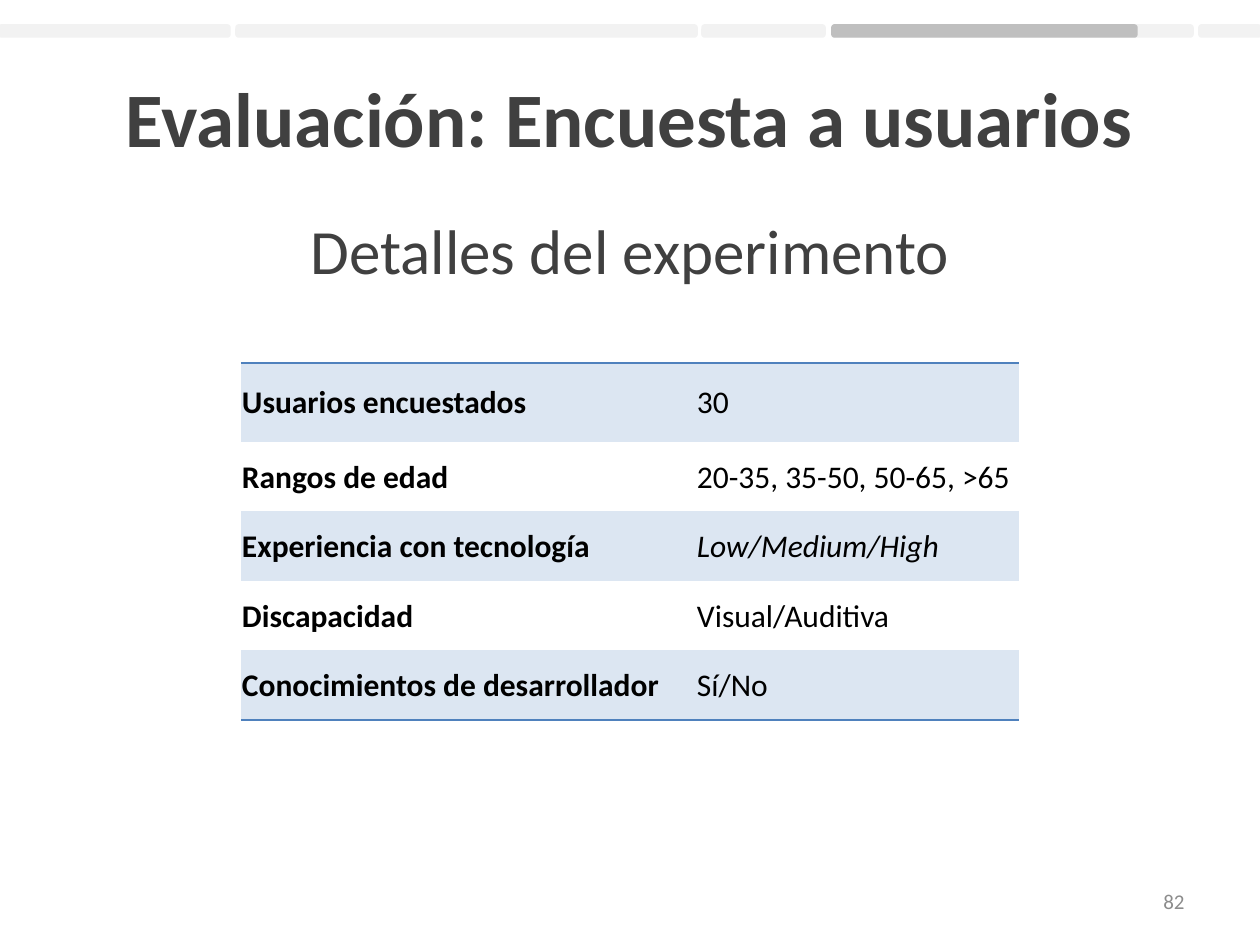
from lxml.etree import SubElement
from pptx import Presentation
from pptx.dml.color import RGBColor
from pptx.enum.shapes import MSO_SHAPE
from pptx.enum.text import MSO_ANCHOR, PP_ALIGN
from pptx.oxml import parse_xml
from pptx.oxml.ns import nsdecls
from pptx.util import Emu, Pt

HUES = {"pale": "F2F2F2", "mark": "BFBFBF", "head": "404040", "page": "8C8C8C",
        "ink": "000000", "band": "DCE6F2", "rule": "4F81BD"}
BARS = [(0, 229, "pale"), (237, 459, "pale"), (833, 359, "pale"),
        (703, 121, "pale"), (1200, 60, "pale"), (833, 303, "mark")]
TEXTS = [
    ("Evaluación: Encuesta a usuarios", (63, 38, 1134, 157), MSO_ANCHOR.MIDDLE,
     {"alignment": PP_ALIGN.CENTER}, {"size": Pt(44), "bold": True}, "head"),
    ("82", (903, 876, 294, 50), MSO_ANCHOR.MIDDLE,
     {"alignment": PP_ALIGN.RIGHT}, {"size": Pt(12)}, "page"),
    ("Detalles del experimento", (63, 220, 1134, 624), MSO_ANCHOR.TOP,
     {"alignment": PP_ALIGN.CENTER, "line_spacing": 0.8}, {"size": Pt(36)}, "head"),
]
ROWS = [("Usuarios encuestados", "30"),
        ("Rangos de edad", "20-35, 35-50, 50-65, >65"),
        ("Experiencia con tecnología", "Low/Medium/High"),
        ("Discapacidad", "Visual/Auditiva"),
        ("Conocimientos de desarrollador", "Sí/No")]
SLANT = "Low/Medium/High"
COLS = [455, 323]
TALL = [79] + [69.5] * 4
PLAIN = "{2D5ABB26-0587-4C30-8999-92F81FD0307C}"


def px(n):
    return Emu(round(n * 914400 / 126))


def hue(name):
    return RGBColor.from_string(HUES[name])


def put(obj, vals):
    for key, val in vals.items():
        setattr(obj, key, val)


def style(para, look, name):
    put(para.font, {"name": "Calibri", **look})
    para.font.color.rgb = hue(name)


def add_bar(left, wide, name):
    bar = slide.shapes.add_shape(MSO_SHAPE.ROUNDED_RECTANGLE,
                                 *map(px, (left, 26, wide, 10)))
    bar.shadow.inherit = False
    bar.fill.solid()
    bar.fill.fore_color.rgb = bar.line.color.rgb = hue(name)
    bar.line.width = Pt(2)


def add_text(text, box, anchor, form, look, name):
    frame = slide.shapes.add_textbox(*map(px, box)).text_frame
    put(frame, {"word_wrap": True, "vertical_anchor": anchor, "text": text})
    para = frame.paragraphs[0]
    put(para, form)
    style(para, look, name)


def add_rule(cell, side):
    line = parse_xml(f'<a:{side} {nsdecls("a")} w="12700"><a:solidFill>'
                     f'<a:srgbClr val="{HUES["rule"]}"/></a:solidFill></a:{side}>')
    cell._tc.get_or_add_tcPr().insert(0, line)


def add_grid():
    grid = slide.shapes.add_table(len(ROWS), len(COLS), px(241), px(363),
                                  px(sum(COLS)), px(sum(TALL))).table
    put(grid, {"first_row": False, "horz_banding": False})
    grid._tbl.tblPr[0].text = PLAIN
    for col, wide in zip(grid.columns, COLS):
        col.width = px(wide)
    for r, (row, tall) in enumerate(zip(ROWS, TALL)):
        grid.rows[r].height = px(tall)
        for c, text in enumerate(row):
            cell = grid.cell(r, c)
            put(cell, {"text": text, "vertical_anchor": MSO_ANCHOR.MIDDLE,
                       "margin_left": px(1), "margin_right": px(1),
                       "margin_top": px(1), "margin_bottom": 0})
            look = {"size": Pt(18), "bold": c == 0, "italic": text == SLANT}
            style(cell.text_frame.paragraphs[0], look, "ink")
            if r % 2:
                cell.fill.background()
            else:
                cell.fill.solid()
                cell.fill.fore_color.rgb = hue("band")
            if r == 0:
                add_rule(cell, "lnT")
            if r == len(ROWS) - 1:
                add_rule(cell, "lnB")


deck = Presentation()
put(deck, {"slide_width": px(1260), "slide_height": px(945)})
slide = deck.slides.add_slide(deck.slide_layouts[6])
for bar in BARS:
    add_bar(*bar)
for item in TEXTS:
    add_text(*item)
add_grid()
deck.save("out.pptx")
